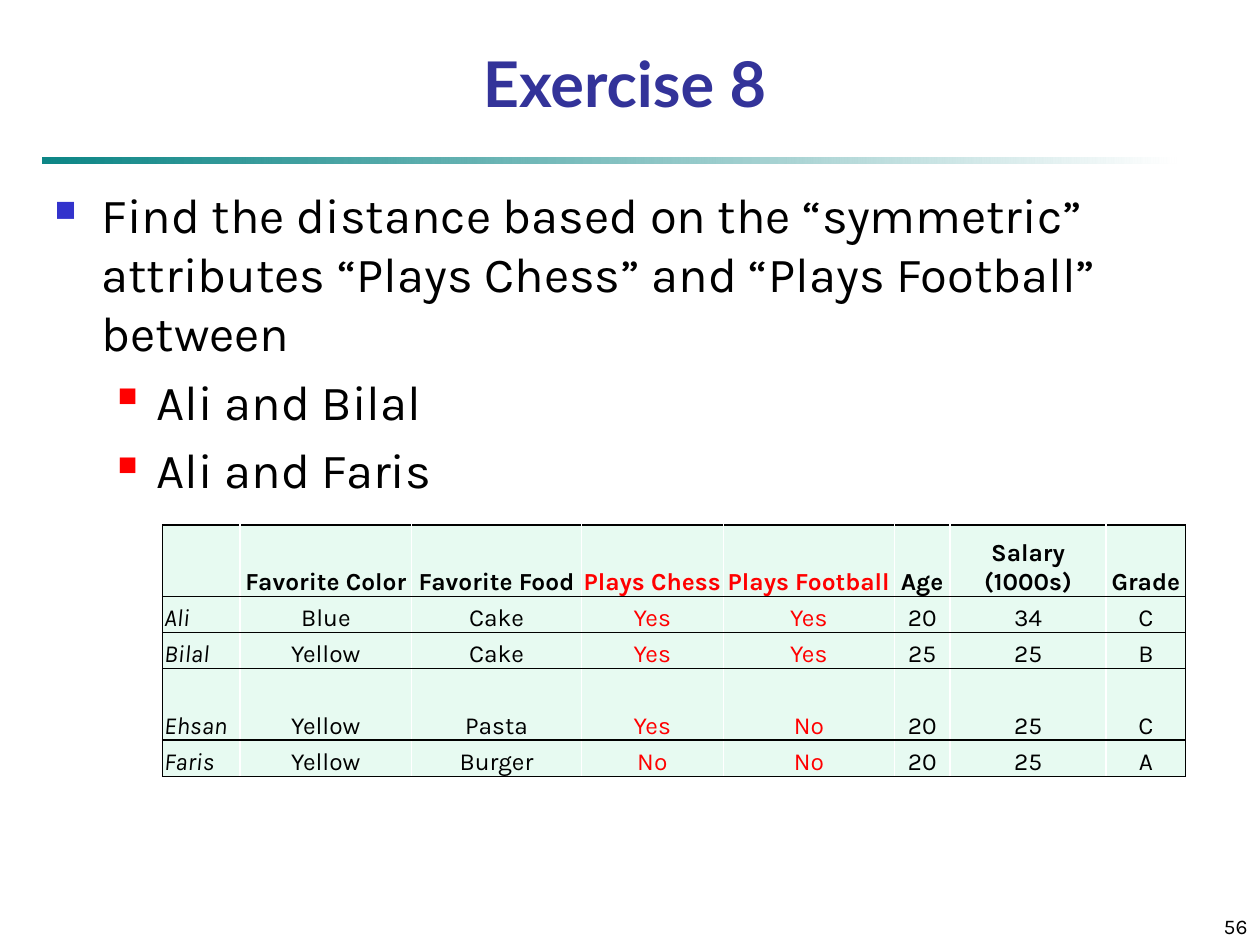
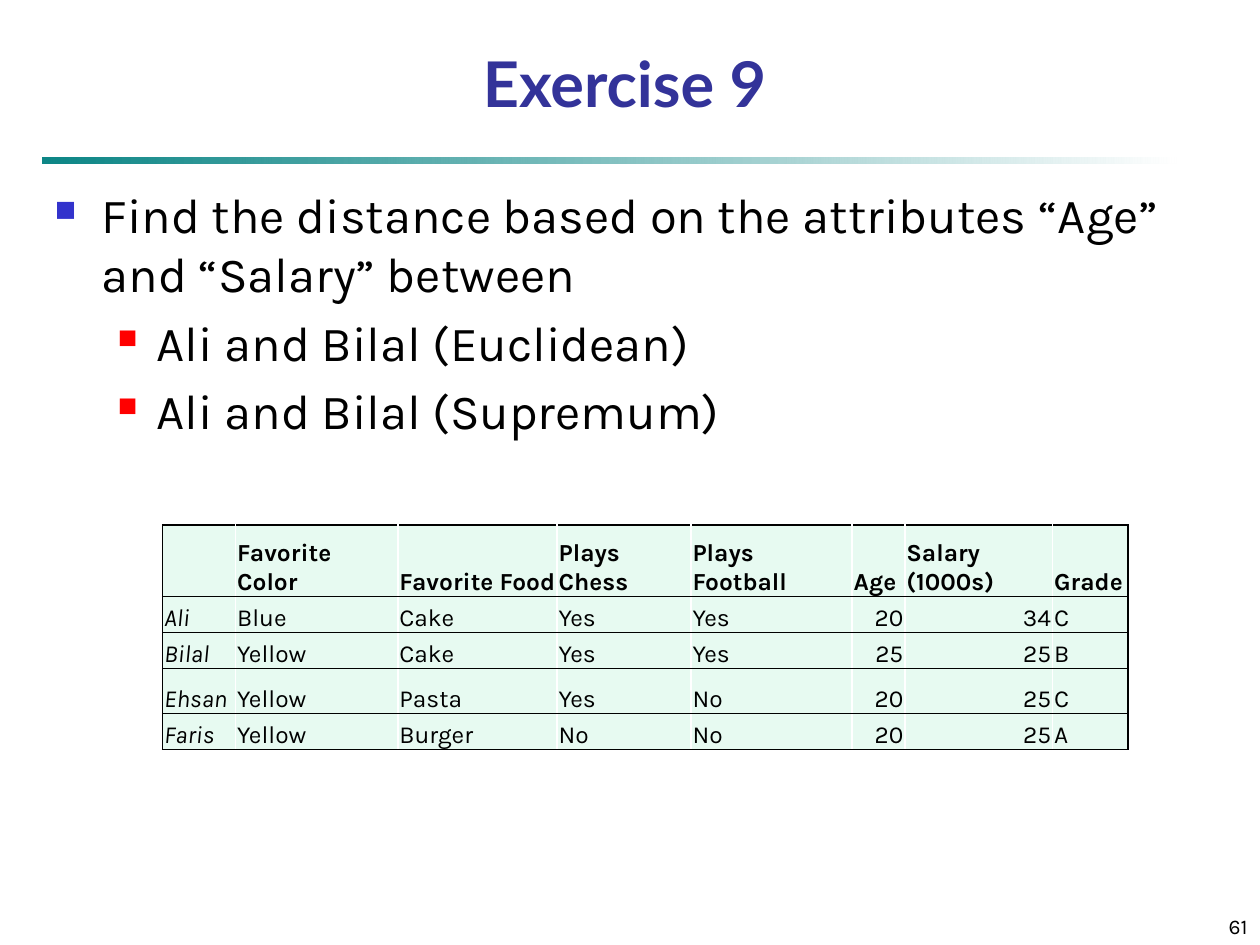
"""Build two exercise slides on distances between records with mixed attributes."""
from lxml import etree
from pptx import Presentation, util as u
from pptx.dml.color import RGBColor
from pptx.enum import shapes, text
from pptx.oxml import ns

Cm, Pt = u.Cm, u.Pt
LEFT, CENTER, RIGHT = text.PP_ALIGN.LEFT, text.PP_ALIGN.CENTER, text.PP_ALIGN.RIGHT

COLORS = {
    "title": "333399", "text": "000000", "accent": "FF0000", "band": "008080",
    "paper": "FFFFFF", "bullet": "3333CC", "cell": "E7FAF1", "grid": "000000",
}
TITLE_FONT, BODY_FONT = "Lato", "Karla"

HEADERS = ["", "Favorite Color", "Favorite Food", "Plays Chess", "Plays Football",
           "Age", "Salary (1000s)", "Grade"]
RECORDS = [
    ["Ali", "Blue", "Cake", "Yes", "Yes", "20", "34", "C"],
    ["Bilal", "Yellow", "Cake", "Yes", "Yes", "25", "25", "B"],
    ["Ehsan", "Yellow", "Pasta", "Yes", "No", "20", "25", "C"],
    ["Faris", "Yellow", "Burger", "No", "No", "20", "25", "A"],
]
EXERCISES = [
    {
        "title": "Exercise 8",
        "task": "Find the distance based on the “symmetric” attributes "
                "“Plays Chess” and “Plays Football” between",
        "pairs": ["Ali and Bilal", "Ali and Faris"],
        "number": "56",
        "widths": [1.56, 3.46, 3.42, 2.86, 3.45, 1.12, 3.15, 1.6],
        "heights": [1.44, 0.73, 0.73, 1.44, 0.73],
        "aligns": [LEFT] + [CENTER] * 7,
        "header_aligns": [CENTER] * 8,
        "marked": {"Plays Chess", "Plays Football"},
    },
    {
        "title": "Exercise 9",
        "task": "Find the distance based on the attributes “Age” and “Salary” between",
        "pairs": ["Ali and Bilal (Euclidean)", "Ali and Bilal (Supremum)"],
        "number": "61",
        "widths": [1.47, 3.27, 3.21, 2.7, 3.25, 1.06, 2.98, 1.52],
        "heights": [1.44, 0.73, 0.73, 0.9, 0.73],
        "aligns": [LEFT] * 5 + [RIGHT] * 2 + [LEFT],
        "header_aligns": [LEFT] * 8,
        "marked": set(),
    },
]
BULLETS = [
    {"color": "bullet", "size": 60, "margin": 0.95, "hang": 0.95},
    {"color": "accent", "size": 55, "margin": 2.06, "hang": 0.79},
]


def rgb(name):
    return RGBColor.from_string(COLORS[name])


def add_xml(parent, tag, **attributes):
    return etree.SubElement(parent, ns.qn(tag), attributes)


def write(para, words, size=14, font=BODY_FONT, color="text", bold=False,
          italic=False, align=LEFT):
    para.alignment = align
    span = para.add_run()
    span.text = words
    span.font.size, span.font.name = Pt(size), font
    span.font.bold, span.font.italic = bold, italic
    span.font.color.rgb = rgb(color)


def add_bullet(para, level):
    style = BULLETS[level]
    para.level = level
    props = para._p.get_or_add_pPr()
    props.set("marL", str(Cm(style["margin"])))
    props.set("indent", str(-Cm(style["hang"])))
    add_xml(add_xml(props, "a:buClr"), "a:srgbClr", val=COLORS[style["color"]])
    add_xml(props, "a:buSzPct", val=str(style["size"] * 1000))
    add_xml(props, "a:buChar", char="■")


def add_box(page, left, top, width, height):
    frame = page.shapes.add_textbox(Cm(left), Cm(top), Cm(width), Cm(height)).text_frame
    frame.word_wrap = True
    return frame


def add_title(page, words):
    title = page.shapes.title
    title.left, title.top, title.width, title.height = Cm(0.42), Cm(0.85), Cm(24.34), Cm(1.69)
    frame = title.text_frame
    frame.auto_size = text.MSO_AUTO_SIZE.NONE
    frame.vertical_anchor = text.MSO_ANCHOR.BOTTOM
    write(frame.paragraphs[0], words, size=36, font=TITLE_FONT, color="title",
          bold=True, align=CENTER)


def add_band(page):
    band = page.shapes.add_shape(shapes.MSO_SHAPE.RECTANGLE,
                                 Cm(0.85), Cm(3.17), Cm(22.86), Cm(0.13))
    band.shadow.inherit = False
    band.line.fill.background()
    band.fill.gradient()
    band.fill.gradient_angle = 0
    for stop, position, name in zip(band.fill.gradient_stops, (0, 1), ("band", "paper")):
        stop.position = position
        stop.color.rgb = rgb(name)
    first_color = next(band._element.iter(ns.qn("a:srgbClr")))
    add_xml(first_color, "a:alpha", val="95000")


def add_task(page, task, pairs):
    frame = add_box(page, 0.85, 3.6, 23.28, 14.4)
    lines = [(task, 0)] + [(pair, 1) for pair in pairs]
    for index, (words, level) in enumerate(lines):
        para = frame.add_paragraph() if index else frame.paragraphs[0]
        add_bullet(para, level)
        para.space_before = Pt(5.6 if index else 0)
        write(para, words, size=28)


def set_borders(cell, first, last):
    props = cell._tc.get_or_add_tcPr()
    sides = {"a:lnL": "grid" if first else "paper", "a:lnR": "grid" if last else "paper",
             "a:lnT": "grid", "a:lnB": "grid"}
    for tag, name in sides.items():
        line = add_xml(props, tag, w=str(Pt(1)))
        add_xml(add_xml(line, "a:solidFill"), "a:srgbClr", val=COLORS[name])


def add_records(page, exercise):
    widths, heights = exercise["widths"], exercise["heights"]
    table = page.shapes.add_table(len(heights), len(widths), Cm(3.28), Cm(10.58),
                                  Cm(sum(widths)), Cm(sum(heights))).table
    table.first_row = table.horz_banding = False
    for column, width in zip(table.columns, widths):
        column.width = Cm(width)
    for row, height in zip(table.rows, heights):
        row.height = Cm(height)
    for r, values in enumerate([HEADERS] + RECORDS):
        aligns = exercise["aligns" if r else "header_aligns"]
        for c, words in enumerate(values):
            cell = table.cell(r, c)
            cell.margin_left = cell.margin_right = cell.margin_top = Cm(0.03)
            cell.margin_bottom = 0
            cell.vertical_anchor = text.MSO_ANCHOR.BOTTOM
            set_borders(cell, c == 0, c == len(widths) - 1)
            cell.fill.solid()
            cell.fill.fore_color.rgb = rgb("cell")
            if words:
                color = "accent" if HEADERS[c] in exercise["marked"] else "text"
                write(cell.text_frame.paragraphs[0], words, color=color, bold=r == 0,
                      italic=c == 0, align=aligns[c])


def add_number(page, number):
    frame = add_box(page, 20.12, 17.98, 5.28, 1.07)
    frame.vertical_anchor = text.MSO_ANCHOR.BOTTOM
    write(frame.paragraphs[0], number, size=12, align=RIGHT)


def main():
    deck = Presentation()
    deck.slide_width, deck.slide_height = Cm(25.4), Cm(19.05)
    for exercise in EXERCISES:
        page = deck.slides.add_slide(deck.slide_layouts[5])
        add_band(page)
        add_title(page, exercise["title"])
        add_task(page, exercise["task"], exercise["pairs"])
        add_number(page, exercise["number"])
        add_records(page, exercise)
    deck.save("out.pptx")


if __name__ == "__main__":
    main()
